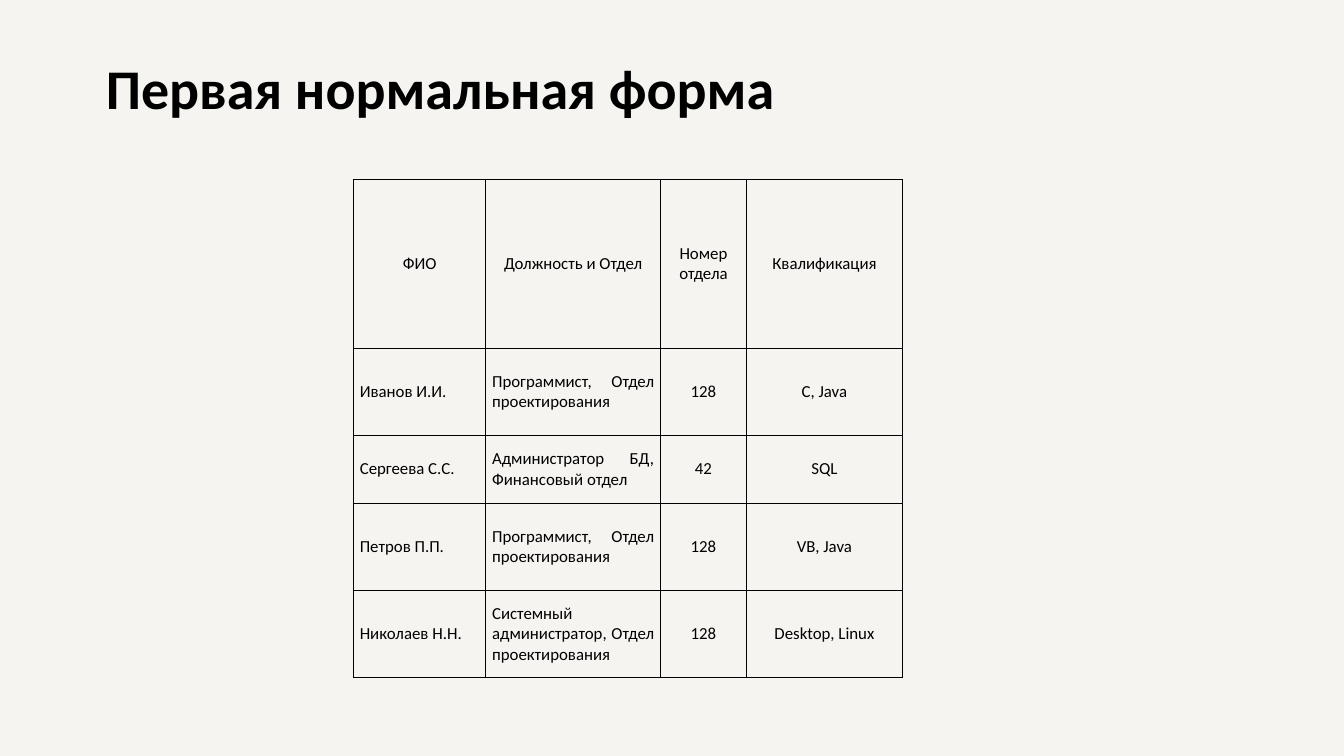
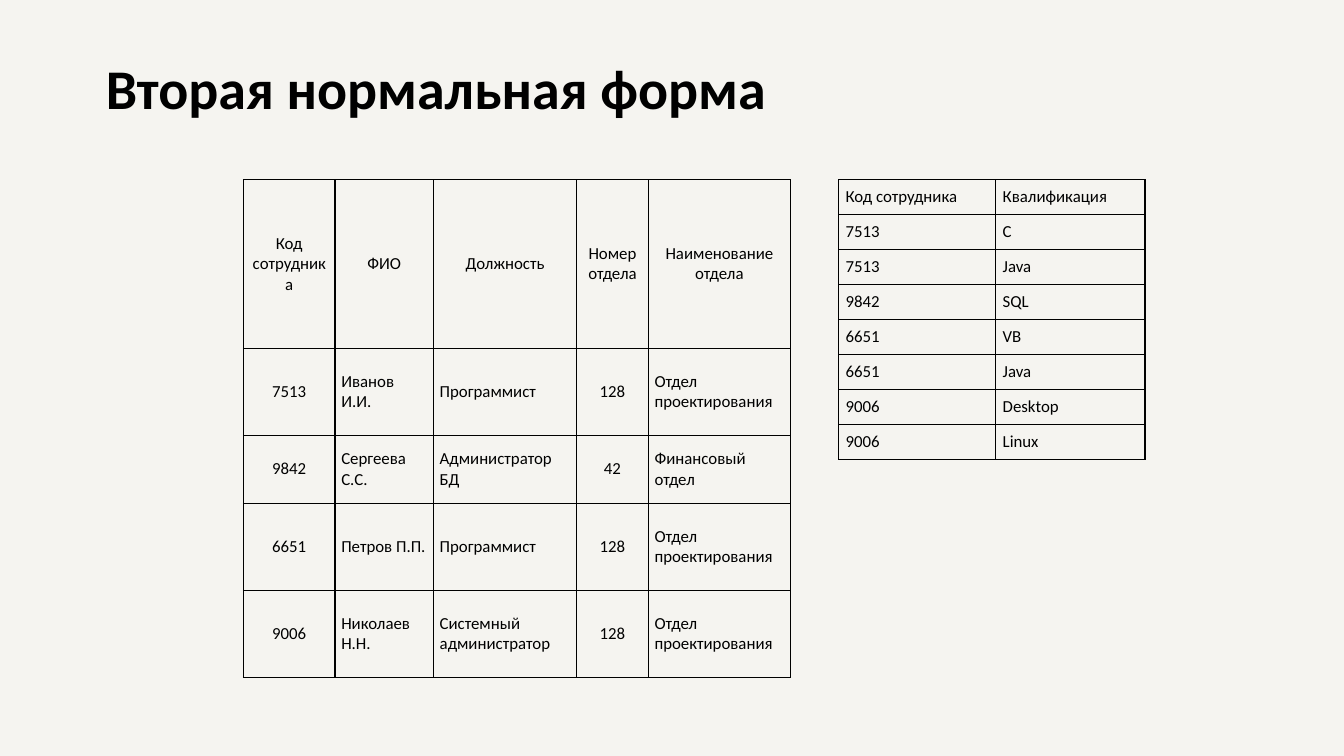
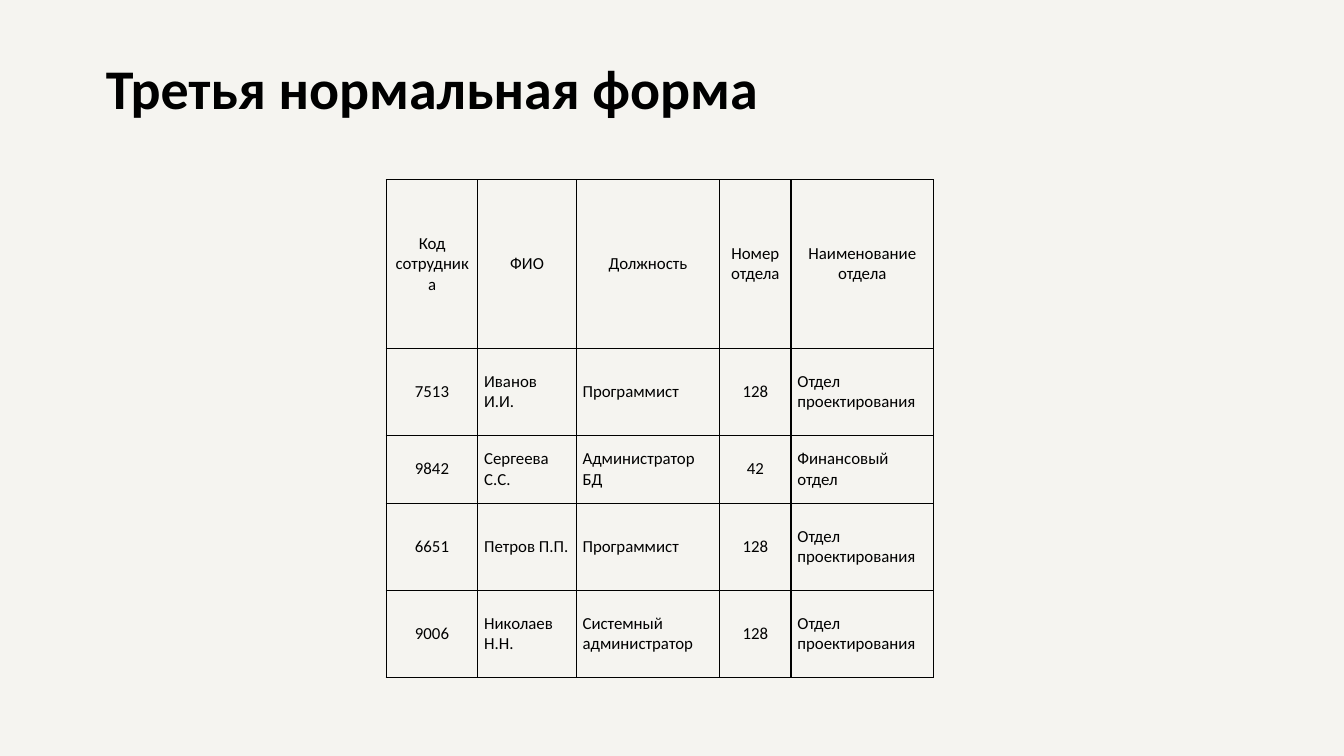
from pptx import Presentation
from pptx.dml.color import RGBColor
from pptx.enum.text import MSO_ANCHOR as Anchor, MSO_AUTO_SIZE as AutoSize, PP_ALIGN as Align
from pptx.oxml import parse_xml
from pptx.oxml.ns import nsdecls
from pptx.util import Cm, Pt

FONT = "Calibri"
INK = "000000"
PAPER = "F5F4F0"
TABLE_TOP = 3.4
ALIGN = {"c": Align.CENTER, "j": Align.JUSTIFY}
STAFF_HEIGHTS = [3.18, 1.65, 1.28, 1.65, 1.65]

FIRST_FORM = dict(
    widths=[2.5, 3.3, 1.63, 2.94], heights=STAFF_HEIGHTS,
    head="cccc", body="jjcc", anchor=Anchor.MIDDLE, margins=(0.12, 0.08),
    rows=[
        ("ФИО", "Должность и Отдел", "Номер отдела", "Квалификация"),
        ("Иванов И.И.", "Программист, Отдел проектирования", "128", "C, Java"),
        ("Сергеева С.С.", "Администратор БД, Финансовый отдел", "42", "SQL"),
        ("Петров П.П.", "Программист, Отдел проектирования", "128", "VB, Java"),
        ("Николаев Н.Н.", "Системный администратор, Отдел проектирования", "128", "Desktop, Linux"),
    ],
)
STAFF = dict(
    widths=[1.73, 1.86, 2.71, 1.35, 2.69], heights=STAFF_HEIGHTS,
    head="ccccc", body="cjjcj", anchor=Anchor.MIDDLE, margins=(0.12, 0.08),
    rows=[
        ("Код сотрудника", "ФИО", "Должность", "Номер отдела", "Наименование отдела"),
        ("7513", "Иванов И.И.", "Программист", "128", "Отдел проектирования"),
        ("9842", "Сергеева С.С.", "Администратор БД", "42", "Финансовый отдел"),
        ("6651", "Петров П.П.", "Программист", "128", "Отдел проектирования"),
        ("9006", "Николаев Н.Н.", "Системный администратор", "128", "Отдел проектирования"),
    ],
)
SKILLS = dict(
    widths=[2.97, 2.82], heights=[0.66] * 8,
    head="jj", body="jj", anchor=Anchor.TOP, margins=(0.13, 0.13),
    rows=[
        ("Код сотрудника", "Квалификация"),
        ("7513", "C"),
        ("7513", "Java"),
        ("9842", "SQL"),
        ("6651", "VB"),
        ("6651", "Java"),
        ("9006", "Desktop"),
        ("9006", "Linux"),
    ],
)
SLIDES = [
    ("Первая нормальная форма", [(6.68, FIRST_FORM)]),
    ("Вторая нормальная форма", [(4.6, STAFF), (15.85, SKILLS)]),
    ("Третья нормальная форма", [(7.3, STAFF)]),
]


def color(value):
    return RGBColor.from_string(value)


def write(p, text, size, align, bold=False):
    p.alignment = align
    r = p.add_run()
    r.text = text
    r.font.name = FONT
    r.font.size = Pt(size)
    r.font.bold = bold
    r.font.color.rgb = color(INK)


def add_borders(cell):
    tc_pr = cell._tc.get_or_add_tcPr()
    for i, side in enumerate("LRTB"):
        tc_pr.insert(i, parse_xml(
            f'<a:ln{side} {nsdecls("a")} w="{Pt(0.75)}"><a:solidFill>'
            f'<a:srgbClr val="{INK}"/></a:solidFill></a:ln{side}>'))


def add_title(s, text):
    sp = s.shapes.title
    sp.left, sp.top, sp.width, sp.height = Cm(1.75), Cm(0.76), Cm(21.9), Cm(2.77)
    tf = sp.text_frame
    tf.auto_size = AutoSize.NONE
    tf.word_wrap = True
    tf.vertical_anchor = Anchor.TOP
    tf.margin_left = tf.margin_right = tf.margin_top = tf.margin_bottom = Cm(0.25)
    write(tf.paragraphs[0], text, 30, Align.LEFT, True)


def add_grid(s, left, grid):
    rows, widths, heights = grid["rows"], grid["widths"], grid["heights"]
    table = s.shapes.add_table(len(rows), len(widths), Cm(left), Cm(TABLE_TOP),
                               Cm(sum(widths)), Cm(sum(heights))).table
    table.first_row = table.horz_banding = False
    for column, width in zip(table.columns, widths):
        column.width = Cm(width)
    side, edge = grid["margins"]
    for i, (row, height) in enumerate(zip(rows, heights)):
        table.rows[i].height = Cm(height)
        aligns = grid["body"] if i else grid["head"]
        for j, (text, align) in enumerate(zip(row, aligns)):
            cell = table.cell(i, j)
            cell.fill.background()
            cell.vertical_anchor = grid["anchor"]
            cell.margin_left = cell.margin_right = Cm(side)
            cell.margin_top = cell.margin_bottom = Cm(edge)
            add_borders(cell)
            write(cell.text_frame.paragraphs[0], text, 9, ALIGN[align])


def main():
    prs = Presentation()
    prs.slide_width, prs.slide_height = Cm(25.4), Cm(14.29)
    fill = prs.slide_master.background.fill
    fill.solid()
    fill.fore_color.rgb = color(PAPER)
    for title, grids in SLIDES:
        s = prs.slides.add_slide(prs.slide_layouts[5])
        add_title(s, title)
        for left, grid in grids:
            add_grid(s, left, grid)
    prs.save("out.pptx")


if __name__ == "__main__":
    main()
